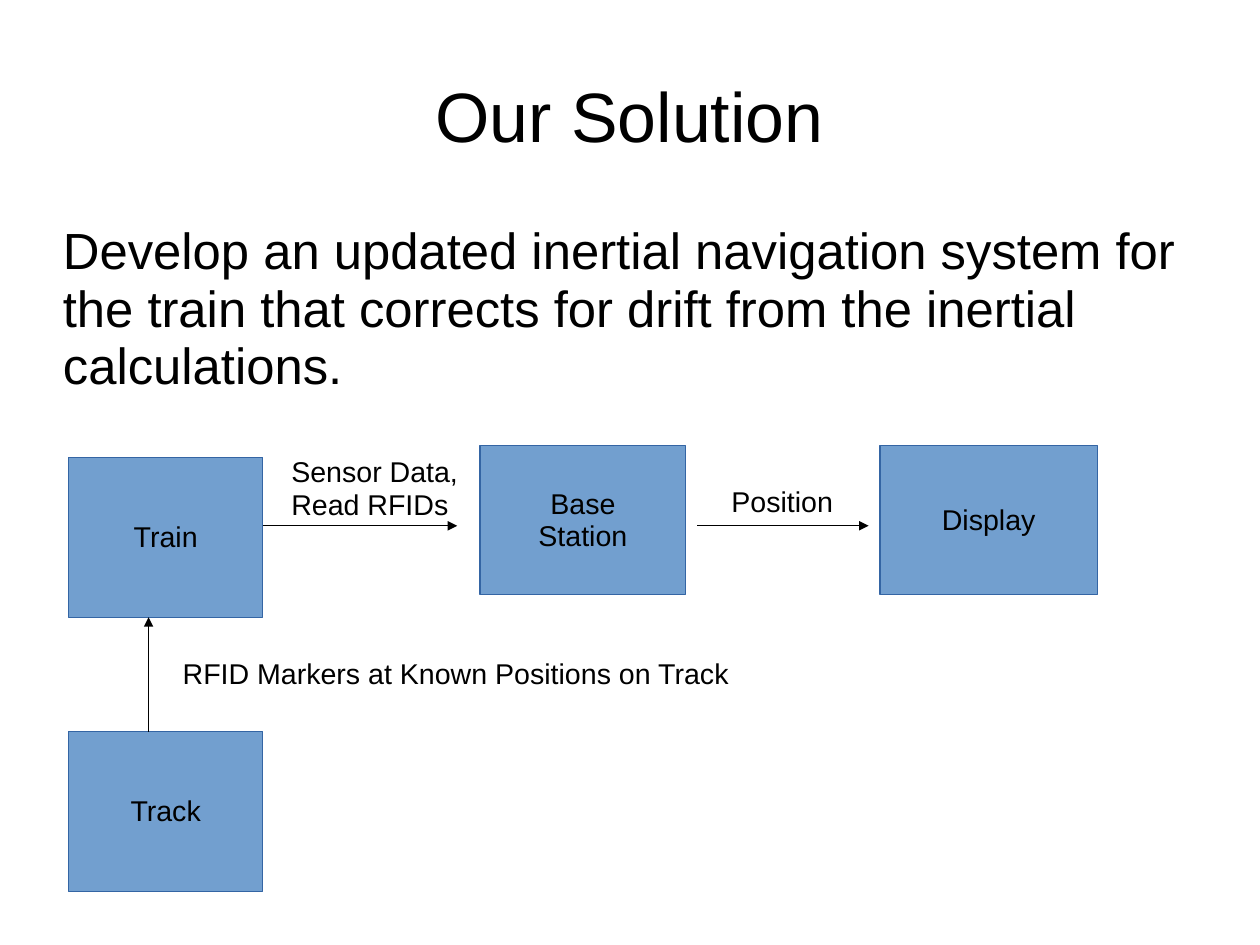
from lxml.etree import SubElement
from pptx import Presentation
from pptx.dml.color import RGBColor
from pptx.enum.shapes import MSO_CONNECTOR as Connector, MSO_SHAPE as Shape
from pptx.enum.text import MSO_ANCHOR as Anchor, MSO_AUTO_SIZE as AutoSize, PP_ALIGN as Align
from pptx.oxml.ns import qn
from pptx.util import Inches, Pt

BLACK = RGBColor(0x00, 0x00, 0x00)
BOX_FILL = RGBColor(0x72, 0x9F, 0xCF)
BOX_LINE = RGBColor(0x34, 0x65, 0xA4)
FONT = "Arial"
LINE_WIDTH = Pt(0.75)
LABEL_MARGINS = (0.1, 0.06, 0.1, 0.05)
CM_PER_INCH = 2.54

BOXES = [
    (["Train"], 0.6, 4, 1.7, 1.4),
    (["Base", "Station"], 4.2, 3.9, 1.8, 1.3),
    (["Display"], 7.7, 3.9, 1.9, 1.3),
    (["Track"], 0.6, 6.4, 1.7, 1.4),
]
ARROWS = [
    (2.3, 4.6, 4, 4.6),
    (6.1, 4.6, 7.6, 4.6),
    (1.3, 6.4, 1.3, 5.4),
]
LABELS = [
    (["Sensor Data,", "Read RFIDs"], 2.45, 3.94, 1.65, 0.66),
    (["Position"], 6.3, 4.2, 1.09, 0.38),
    (["RFID Markers at Known Positions on Track"], 1.5, 5.7, 4.97, 0.38),
]


def set_slide_size(presentation):
    presentation.slide_width = Inches(28 / CM_PER_INCH)
    presentation.slide_height = Inches(21 / CM_PER_INCH)
    presentation.element.find(qn("p:sldSz")).attrib.pop("type", None)


def write_text(shape, lines, size, align, anchor, margins, wrap):
    frame = shape.text_frame
    frame.auto_size = AutoSize.NONE
    frame.word_wrap = wrap
    frame.vertical_anchor = anchor
    (frame.margin_left, frame.margin_top,
     frame.margin_right, frame.margin_bottom) = map(Inches, margins)
    for index, line in enumerate(lines):
        paragraph = frame.add_paragraph() if index else frame.paragraphs[0]
        paragraph.alignment = align
        paragraph.line_spacing = 0.94
        paragraph.space_before = Pt(0)
        run = paragraph.add_run()
        run.text = line
        run.font.name = FONT
        run.font.size = Pt(size)
        run.font.color.rgb = BLACK


def fill_placeholder(shape, text, position, size, align, anchor, top_margin):
    shape.left, shape.top, shape.width, shape.height = map(Inches, position)
    write_text(shape, [text], size, align, anchor, (0, top_margin, 0, 0), True)


def remove_bullet(paragraph):
    properties = paragraph._p.get_or_add_pPr()
    properties.set("marL", "0")
    properties.set("indent", "0")
    SubElement(properties, qn("a:buNone"))


def add_box(slide, lines, *position):
    box = slide.shapes.add_shape(Shape.RECTANGLE, *map(Inches, position))
    box.shadow.inherit = False
    box.fill.solid()
    box.fill.fore_color.rgb = BOX_FILL
    box.line.color.rgb = BOX_LINE
    box.line.width = LINE_WIDTH
    write_text(box, lines, 18, Align.CENTER, Anchor.MIDDLE, LABEL_MARGINS, False)


def add_arrow(slide, *ends):
    arrow = slide.shapes.add_connector(Connector.STRAIGHT, *map(Inches, ends))
    arrow.line.color.rgb = BLACK
    arrow.line.width = LINE_WIDTH
    SubElement(arrow.line._get_or_add_ln(), qn("a:tailEnd"), type="triangle")
    SubElement(arrow._element.spPr, qn("a:effectLst"))


def add_label(slide, lines, *position):
    label = slide.shapes.add_textbox(*map(Inches, position))
    write_text(label, lines, 18, Align.LEFT, Anchor.TOP, LABEL_MARGINS, False)


def main():
    presentation = Presentation()
    set_slide_size(presentation)
    slide = presentation.slides.add_slide(presentation.slide_layouts[1])

    fill_placeholder(slide.shapes.title, "Our Solution",
                     (0.55, 0.33, 9.92, 1.38), 44, Align.CENTER, Anchor.MIDDLE, 0.04)
    body = slide.placeholders[1]
    fill_placeholder(body, "Develop an updated inertial navigation system for the train "
                     "that corrects for drift from the inertial calculations.",
                     (0.55, 1.93, 9.92, 1.66), 32, Align.LEFT, Anchor.TOP, 0.03)
    statement = body.text_frame.paragraphs[0]
    statement.space_after = Pt(14.3)
    remove_bullet(statement)

    for box in BOXES:
        add_box(slide, *box)
    for arrow in ARROWS:
        add_arrow(slide, *arrow)
    for label in LABELS:
        add_label(slide, *label)

    presentation.save("out.pptx")


if __name__ == "__main__":
    main()
